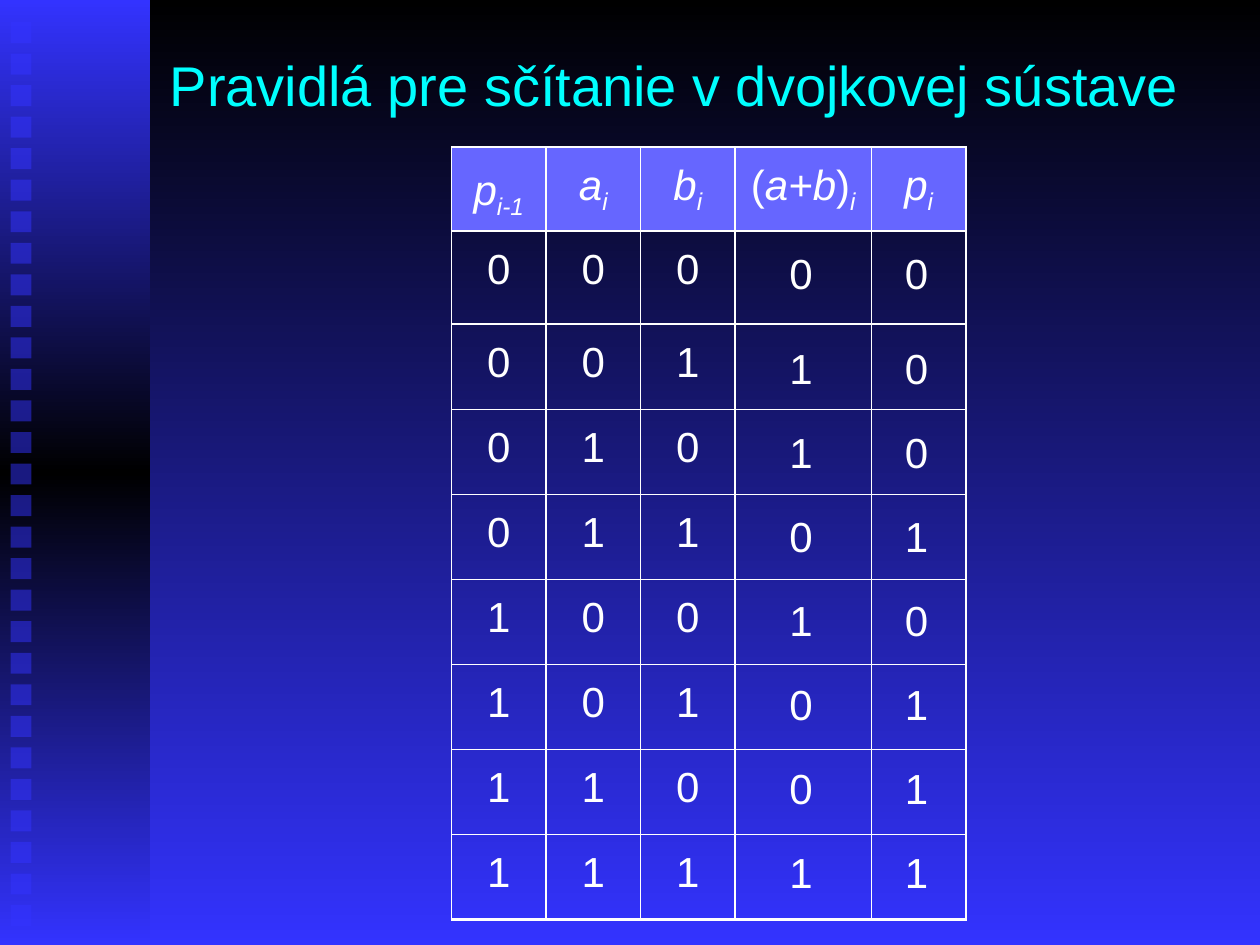
"""Build a slide with the rules for adding in the binary system."""
from copy import deepcopy
from itertools import product

from lxml import etree
from pptx import Presentation
from pptx.dml.color import RGBColor
from pptx.enum import shapes, text
from pptx.oxml import ns
from pptx.util import Pt

COLORS = {"blue": "3333FF", "black": "000000", "header": "6666FF",
          "title": "00FFFF", "white": "FFFFFF"}


def write(frame, words, size=24, color="white", italic=False, baseline=0, align=text.PP_ALIGN.LEFT):
    paragraph = frame.paragraphs[0]
    paragraph.alignment = align
    run = paragraph.add_run()
    run.text = words
    run.font.name = "Arial"
    run.font.size = Pt(size)
    run.font.italic = italic
    run.font.color.rgb = RGBColor.from_string(COLORS[color])
    if baseline:
        run._r.get_or_add_rPr().set("baseline", str(baseline * 1000))


def add_border(cell, side, width):
    line = etree.SubElement(cell._tc.get_or_add_tcPr(), ns.qn(f"a:ln{side}"), w=str(Pt(width)))
    solid = etree.SubElement(line, ns.qn("a:solidFill"))
    etree.SubElement(solid, ns.qn("a:srgbClr"), val=COLORS["white"])


deck = Presentation()
deck.slide_width, deck.slide_height = Pt(720), Pt(540)
slide = deck.slides.add_slide(deck.slide_layouts[6])

sidebar = slide.shapes.add_shape(shapes.MSO_SHAPE.RECTANGLE, 0, 0, Pt(85.7), Pt(540))
sidebar.shadow.inherit = False
sidebar.line.fill.background()
sidebar.fill.gradient()
stops = sidebar._element.xpath(".//a:gsLst")[0]
stops.insert(1, deepcopy(stops[0]))
backdrop = slide.background.fill
backdrop.gradient()
for fill, names in [(sidebar.fill, ["blue", "black", "blue"]), (backdrop, ["black", "blue"])]:
    fill.gradient_angle = 270
    for i, (stop, name) in enumerate(zip(fill.gradient_stops, names)):
        stop.position = i / (len(names) - 1)
        stop.color.rgb = RGBColor.from_string(COLORS[name])

for i in range(29):
    square = slide.shapes.add_shape(shapes.MSO_SHAPE.RECTANGLE, Pt(6), Pt(12.6 + 18.02 * i), Pt(12), Pt(12))
    square.shadow.inherit = False
    square.line.fill.background()
    square.fill.solid()
    square.fill.fore_color.rgb = RGBColor.from_string(COLORS["blue"])
    tint = square._element.xpath("./p:spPr/a:solidFill/a:srgbClr")[0]
    etree.SubElement(tint, ns.qn("a:alpha"), val="50000")

title = slide.shapes.add_textbox(Pt(90), Pt(18), Pt(612), Pt(60)).text_frame
title.word_wrap = True
title.vertical_anchor = text.MSO_ANCHOR.MIDDLE
write(title, "Pravidlá pre sčítanie v dvojkovej sústave", size=32, color="title")

widths = [54, 54, 54, 78, 54]
heights = [48, 53.3] + [48.6] * 7
rules = slide.shapes.add_table(9, 5, Pt(258), Pt(84), Pt(sum(widths)), Pt(sum(heights))).table
rules.first_row = rules.horz_banding = False
for column, width in zip(rules.columns, widths):
    column.width = Pt(width)
for row, height in zip(rules.rows, heights):
    row.height = Pt(height)

headings = [[("p", True)], [("a", True)], [("b", True)],
            [("(", False), ("a+b", True), (")", False)], [("p", True)]]
subscripts = ["i-1", "i", "i", "i", "i"]
inputs = list(product([0, 1], repeat=3))

for r, c in product(range(9), range(5)):
    cell = rules.cell(r, c)
    cell.margin_left = cell.margin_right = Pt(6)
    cell.margin_top, cell.margin_bottom = Pt(8.64), Pt(2.9)
    for side in "LRTB":
        add_border(cell, side, 2.25 if side == "B" and r == 8 else 1)
    if r == 0:
        cell.fill.solid()
        cell.fill.fore_color.rgb = RGBColor.from_string(COLORS["header"])
        for symbol, italic in headings[c]:
            write(cell.text_frame, symbol, italic=italic, align=text.PP_ALIGN.CENTER)
        write(cell.text_frame, subscripts[c], italic=True, baseline=-25, align=text.PP_ALIGN.CENTER)
    else:
        cell.fill.background()
        if c < 3:
            write(cell.text_frame, str(inputs[r - 1][c]), align=text.PP_ALIGN.CENTER)
rules.cell(0, 0).vertical_anchor = text.MSO_ANCHOR.MIDDLE

tops = [138] + [192 + 48 * i for i in range(7)]
for top, bits in zip(tops, inputs):
    carry, total = divmod(sum(bits), 2)
    for left, digit in [(444, total), (510, carry)]:
        result = slide.shapes.add_textbox(Pt(left), Pt(top), Pt(36), Pt(36)).text_frame
        result.word_wrap = True
        write(result, str(digit))

deck.save("out.pptx")
